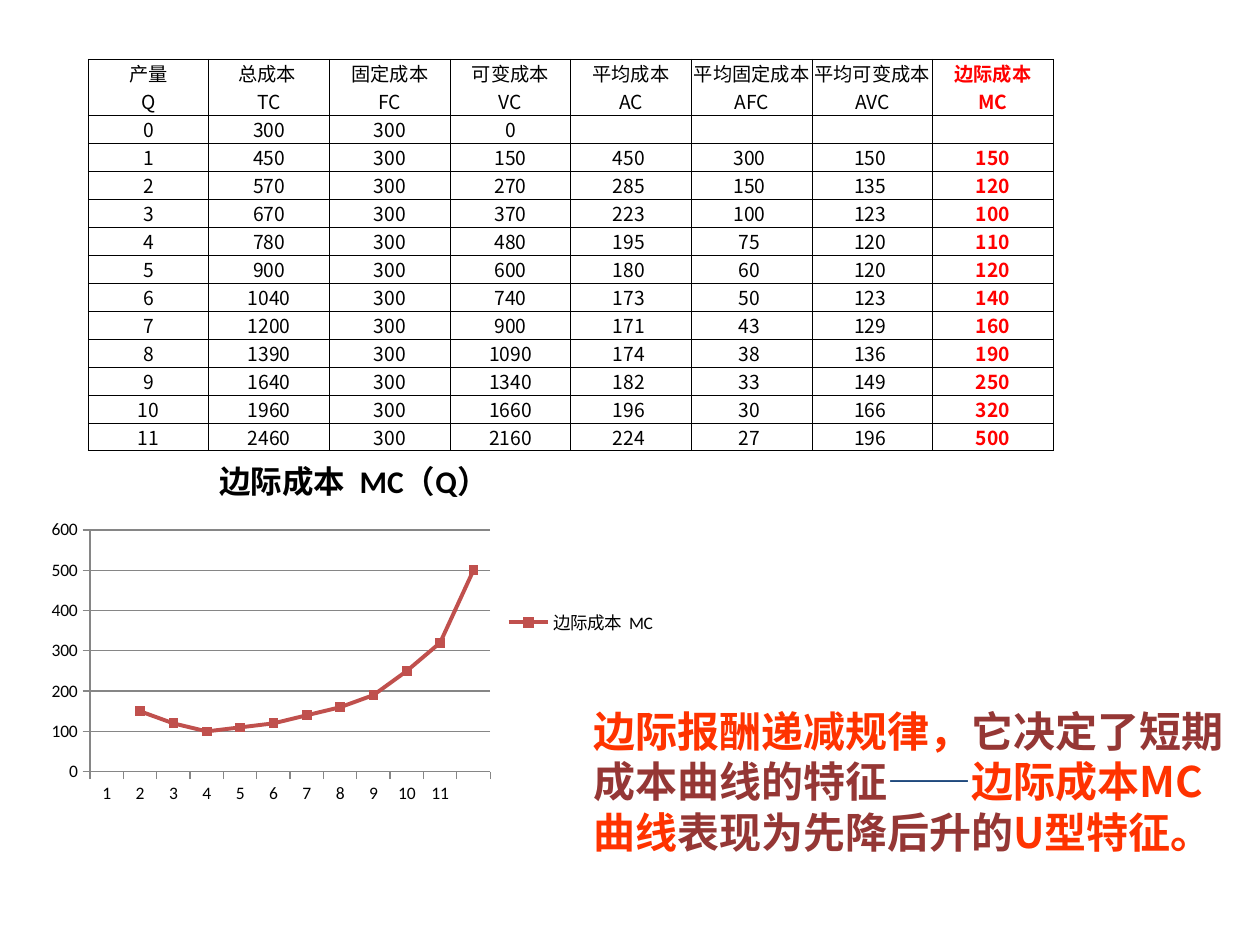
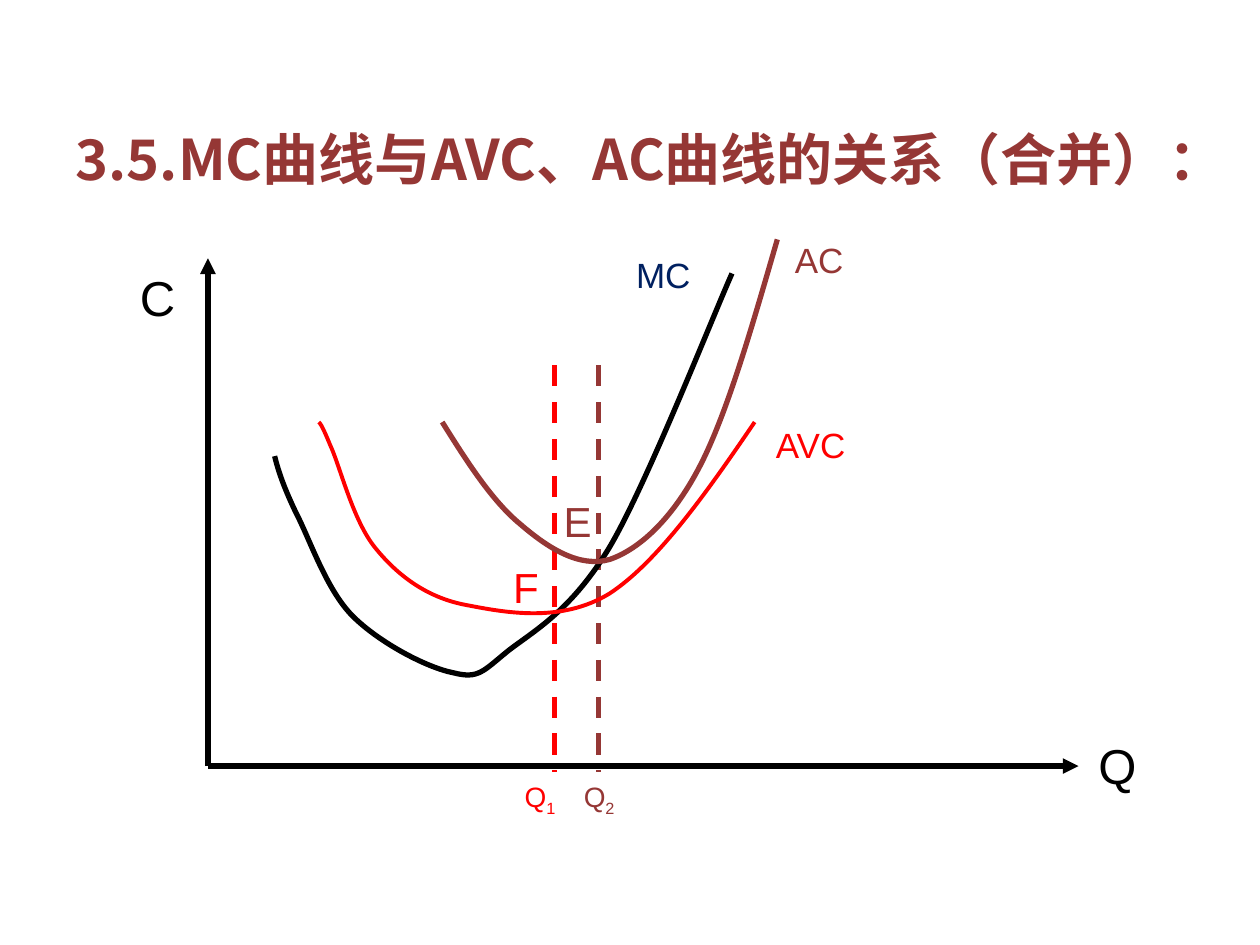
"""Build two slides on marginal cost: a cost table with its chart, and the cost curves."""
from dataclasses import dataclass

import pptx
import pptx.chart.data
import pptx.dml.color
import pptx.enum.chart
import pptx.enum.dml
import pptx.enum.shapes
import pptx.enum.text
import pptx.oxml
import pptx.oxml.ns
import pptx.util
from lxml import etree

Inches = pptx.util.Inches
Pt = pptx.util.Pt
qn = pptx.oxml.ns.qn
Align = pptx.enum.text.PP_ALIGN
Anchor = pptx.enum.text.MSO_ANCHOR


@dataclass(frozen=True)
class Theme:
    black: str = "000000"
    red: str = "FF0000"
    orange: str = "FF3300"
    maroon: str = "953735"
    navy: str = "002060"
    blue: str = "1F497D"
    series: str = "C0504D"
    grid: str = "868686"
    chinese: str = "Noto Sans CJK SC"
    latin: str = "Arial"
    chart: str = "Calibri"
    title_size: int = 32
    axis_size: int = 28
    statement_size: int = 24
    point_size: int = 24
    curve_size: int = 20
    chart_title_size: int = 18
    quantity_size: int = 16
    table_size: int = 11
    chart_size: int = 10
    marker_size: int = 5
    heavy: float = 3
    medium: float = 2.25
    border: float = 0.5


def rgb(value):
    return pptx.dml.color.RGBColor.from_string(value)


def apply(target, values):
    for name, value in values.items():
        setattr(target, name, value)


class Deck:
    def __init__(self, theme):
        self.theme = theme
        self.presentation = pptx.Presentation()
        apply(self.presentation, {"slide_width": Inches(10), "slide_height": Inches(7.5)})
        self.slide = None

    def add_slide(self, layout_name):
        layout = self.presentation.slide_layouts.get_by_name(layout_name)
        self.slide = self.presentation.slides.add_slide(layout)

    def format_font(self, font, size, color, name, bold=False):
        apply(font, {"size": Pt(size), "name": name, "bold": bold})
        font.color.rgb = rgb(color)

    def add_run(self, paragraph, text, size, color, name, bold=False, baseline=0):
        run = paragraph.add_run()
        run.text = text
        self.format_font(run.font, size, color, name, bold)
        properties = run._r.get_or_add_rPr()
        if name == self.theme.chinese:
            etree.SubElement(properties, qn("a:ea"), typeface=name)
        if baseline:
            properties.set("baseline", str(baseline * 1000))

    def title(self, box, text):
        shape = self.slide.shapes.title
        apply(shape, dict(zip(("left", "top", "width", "height"), map(Inches, box))))
        apply(shape.text_frame, {
            "word_wrap": True,
            "vertical_anchor": Anchor.TOP,
            "auto_size": pptx.enum.text.MSO_AUTO_SIZE.NONE,
        })
        paragraph = shape.text_frame.paragraphs[0]
        paragraph.alignment = Align.LEFT
        properties = paragraph._p.get_or_add_pPr()
        properties.set("marL", str(Inches(0.38)))
        properties.set("indent", str(-Inches(0.38)))
        self.add_run(paragraph, text, self.theme.title_size, self.theme.maroon,
                     self.theme.chinese, True)

    def text(self, box, runs, size, name=None, bold=False, wrap=False, centered=False):
        frame = self.slide.shapes.add_textbox(*map(Inches, box)).text_frame
        frame.word_wrap = wrap
        paragraph = frame.paragraphs[0]
        if centered:
            apply(frame, {"vertical_anchor": Anchor.MIDDLE, "margin_left": 0, "margin_right": 0})
            paragraph.alignment = Align.CENTER
        for text, color, *baseline in runs:
            self.add_run(paragraph, text, size, color, name or self.theme.latin, bold, *baseline)

    def line(self, start, end, color, dashed=False, arrow=False):
        connector = self.slide.shapes.add_connector(
            pptx.enum.shapes.MSO_CONNECTOR.STRAIGHT, *map(Inches, (*start, *end)))
        connector.line.color.rgb = rgb(color)
        connector.line.width = Pt(self.theme.heavy)
        if dashed:
            connector.line.dash_style = pptx.enum.dml.MSO_LINE.DASH
        if arrow:
            etree.SubElement(connector.line._get_or_add_ln(), qn("a:tailEnd"), type="triangle")
        etree.SubElement(connector._element.spPr, qn("a:effectLst"))

    def curve(self, start, segments, color, width):
        builder = self.slide.shapes.build_freeform(*map(Inches, start))
        points = [tuple(map(Inches, segment[index:index + 2]))
                  for segment in segments for index in (0, 2, 4)]
        builder.add_line_segments(points, close=False)
        shape = builder.convert_to_shape()
        outline = next(shape._element.iter(qn("a:path")))
        steps = outline.findall(qn("a:lnTo"))
        for index in range(0, len(steps), 3):
            bezier = etree.SubElement(outline, qn("a:cubicBezTo"))
            for step in steps[index:index + 3]:
                bezier.append(step[0])
                outline.remove(step)
        shape.shadow.inherit = False
        shape.fill.background()
        shape.line.color.rgb = rgb(color)
        shape.line.width = Pt(width)

    def format_cell(self, cell, text, highlighted):
        theme = self.theme
        apply(cell, {"vertical_anchor": Anchor.MIDDLE, "margin_left": 0, "margin_right": 0,
                     "margin_top": 0, "margin_bottom": 0})
        properties = cell._tc.get_or_add_tcPr()
        for side in ("lnL", "lnR", "lnT", "lnB"):
            border = etree.SubElement(properties, qn(f"a:{side}"), w=str(Pt(theme.border)))
            fill = etree.SubElement(border, qn("a:solidFill"))
            etree.SubElement(fill, qn("a:srgbClr"), val=theme.black)
        cell.fill.background()
        frame = cell.text_frame
        for index, line in enumerate(text.split("\n")):
            paragraph = frame.add_paragraph() if index else frame.paragraphs[0]
            paragraph.alignment = Align.CENTER
            if line:
                color = theme.red if highlighted else theme.black
                self.add_run(paragraph, line, theme.table_size, color, theme.chinese, highlighted)
            else:
                etree.SubElement(paragraph._p, qn("a:endParaRPr"), sz=str(theme.table_size * 100))

    def table(self, box, rows, header_height, row_height):
        columns = len(rows[0])
        table = self.slide.shapes.add_table(len(rows), columns, *map(Inches, box)).table
        apply(table, {"first_row": False, "horz_banding": False})
        for column in table.columns:
            column.width = Inches(box[2] / columns)
        for row_index, values in enumerate(rows):
            table.rows[row_index].height = Inches(row_height if row_index else header_height)
            for column_index, value in enumerate(values):
                self.format_cell(table.cell(row_index, column_index), value,
                                 column_index == columns - 1)

    def line_chart(self, box, title, series_name, categories, values):
        theme = self.theme
        data = pptx.chart.data.CategoryChartData()
        data.categories = categories
        data.add_series(series_name, values)
        chart = self.slide.shapes.add_chart(
            pptx.enum.chart.XL_CHART_TYPE.LINE_MARKERS, *map(Inches, box), data).chart
        self.format_font(chart.font, theme.chart_size, theme.black, theme.chart)
        apply(chart, {"has_title": True, "has_legend": True})
        self.add_run(chart.chart_title.text_frame.paragraphs[0], title,
                     theme.chart_title_size, theme.black, theme.chart, True)
        apply(chart.legend, {"position": pptx.enum.chart.XL_LEGEND_POSITION.RIGHT,
                             "include_in_layout": False})
        apply(chart.value_axis, {"minimum_scale": 0, "maximum_scale": 600, "major_unit": 100,
                                 "has_major_gridlines": True})
        for axis in (chart.category_axis, chart.value_axis):
            axis.major_tick_mark = pptx.enum.chart.XL_TICK_MARK.OUTSIDE
            axis.format.line.color.rgb = rgb(theme.grid)
        chart.value_axis.major_gridlines.format.line.color.rgb = rgb(theme.grid)
        plot = chart.plots[0]
        plot.vary_by_categories = False
        series = plot.series[0]
        series.smooth = False
        series.format.line.color.rgb = rgb(theme.series)
        series.format.line.width = Pt(theme.medium)
        apply(series.marker, {"style": pptx.enum.chart.XL_MARKER_STYLE.SQUARE,
                              "size": theme.marker_size})
        series.marker.format.fill.solid()
        series.marker.format.fill.fore_color.rgb = rgb(theme.series)
        series.marker.format.line.color.rgb = rgb(theme.series)


def cost_rows(totals):
    fixed = totals[0]
    rows = [("产量\nQ", "总成本 \nTC", "固定成本\nFC", "可变成本\nVC", "平均成本\nAC",
             "平均固定成本AFC", "平均可变成本AVC", "边际成本\nMC")]
    for quantity, total in enumerate(totals):
        variable = total - fixed
        row = [str(value) for value in (quantity, total, fixed, variable)]
        if quantity:
            row += [f"{value / quantity:.0f} " for value in (total, fixed, variable)]
            row.append(str(total - totals[quantity - 1]))
        else:
            row += [""] * 4
        rows.append(row)
    return rows


def cost_slide(deck):
    theme = deck.theme
    totals = (300, 450, 570, 670, 780, 900, 1040, 1200, 1390, 1640, 1960, 2460)
    marginal_costs = [None] + [after - before for before, after in zip(totals, totals[1:])]
    quantities = [str(number) for number in range(1, 12)] + [""]
    deck.add_slide("Blank")
    deck.table((0.7, 0.47, 7.66, 2.76), cost_rows(totals), 0.39, 0.2)
    deck.line_chart((0.31, 3.44, 5, 3), "边际成本  MC（Q）", "边际成本  MC",
                    quantities, marginal_costs)
    statement = (
        ("边际报酬递减规律，", theme.orange),
        ("它决定了短期成本曲线的特征", theme.maroon),
        ("——", theme.blue),
        ("边际成本MC曲线", theme.orange),
        ("表现为先降后升的", theme.maroon),
        ("U型特征。", theme.orange),
    )
    deck.text((4.61, 5.55, 5.23, 1.31), statement, theme.statement_size, theme.chinese,
              bold=True, wrap=True)


def curve_slide(deck):
    theme = deck.theme
    deck.add_slide("Title Only")
    deck.title((0.5, 0.94, 9, 0.69), "3.5.MC曲线与AVC、AC曲线的关系（合并）：")
    for x, color in ((4.75, theme.maroon), (4.4, theme.red)):
        deck.line((x, 2.9), (x, 6.13), color, dashed=True)
    origin = (1.65, 6.08)
    for end in ((1.65, 2.05), (8.56, 6.08)):
        deck.line(origin, end, theme.black, arrow=True)

    marginal = ((2.21, 3.74, 2.25, 3.86, 2.35, 4.07), (2.46, 4.28, 2.59, 4.68, 2.8, 4.89),
                (3.01, 5.1, 3.39, 5.3, 3.6, 5.34), (3.8, 5.39, 3.83, 5.33, 4.04, 5.16),
                (4.25, 5, 4.54, 4.84, 4.84, 4.34), (5.13, 3.85, 5.65, 2.53, 5.81, 2.17))
    average_variable = ((2.54, 3.36, 2.55, 3.36, 2.62, 3.53), (2.7, 3.7, 2.8, 4.13, 2.98, 4.35),
                        (3.15, 4.56, 3.38, 4.74, 3.69, 4.8), (4, 4.86, 4.45, 4.95, 4.84, 4.71),
                        (5.22, 4.46, 5.61, 3.91, 5.99, 3.35))
    average = ((3.71, 3.67, 3.91, 3.98, 4.13, 4.16), (4.35, 4.35, 4.6, 4.51, 4.84, 4.44),
               (5.07, 4.36, 5.33, 4.13, 5.55, 3.71), (5.77, 3.29, 5.97, 2.59, 6.17, 1.9))
    deck.curve((2.18, 3.62), marginal, theme.black, theme.heavy)
    deck.curve((2.53, 3.35), average_variable, theme.red, theme.medium)
    deck.curve((3.51, 3.35), average, theme.maroon, theme.heavy)

    for box, name, color in (((6.06, 3.31, 1.31, 0.44), "AVC", theme.red),
                             ((4.95, 1.96, 0.83, 0.44), "MC", theme.navy),
                             ((6.21, 1.84, 0.79, 0.44), "AC", theme.maroon)):
        deck.text(box, [(name, color)], theme.curve_size, wrap=True)
    deck.text((8.62, 5.79, 0.5, 0.44), [("Q", theme.black)], theme.axis_size)
    deck.text((0.94, 1.72, 0.62, 1.28), [("C", theme.black)], theme.axis_size, centered=True)
    for box, name, color in (((4.45, 3.91, 0.27, 0.45), "E", theme.maroon),
                             ((4.04, 4.53, 0.27, 0.26), "F", theme.red)):
        deck.text(box, [(name, color)], theme.point_size, centered=True)
    for x, subscript, color in ((4.06, "1", theme.red), (4.53, "2", theme.maroon)):
        deck.text((x, 6.17, 0.45, 0.33), [("Q", color), (subscript, color, -25)],
                  theme.quantity_size, centered=True)


def main():
    deck = Deck(Theme())
    cost_slide(deck)
    curve_slide(deck)
    deck.presentation.save("out.pptx")


if __name__ == "__main__":
    main()
